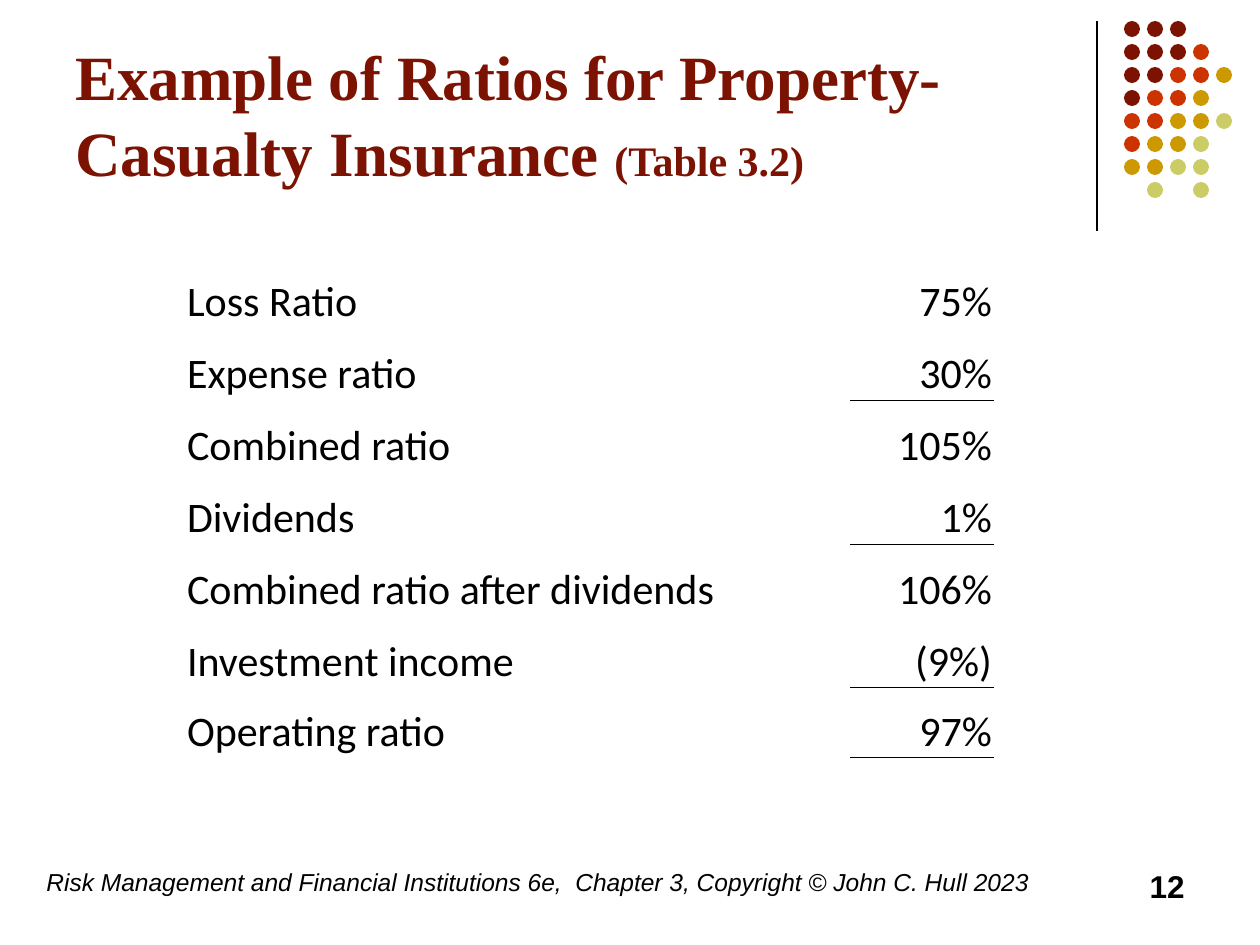
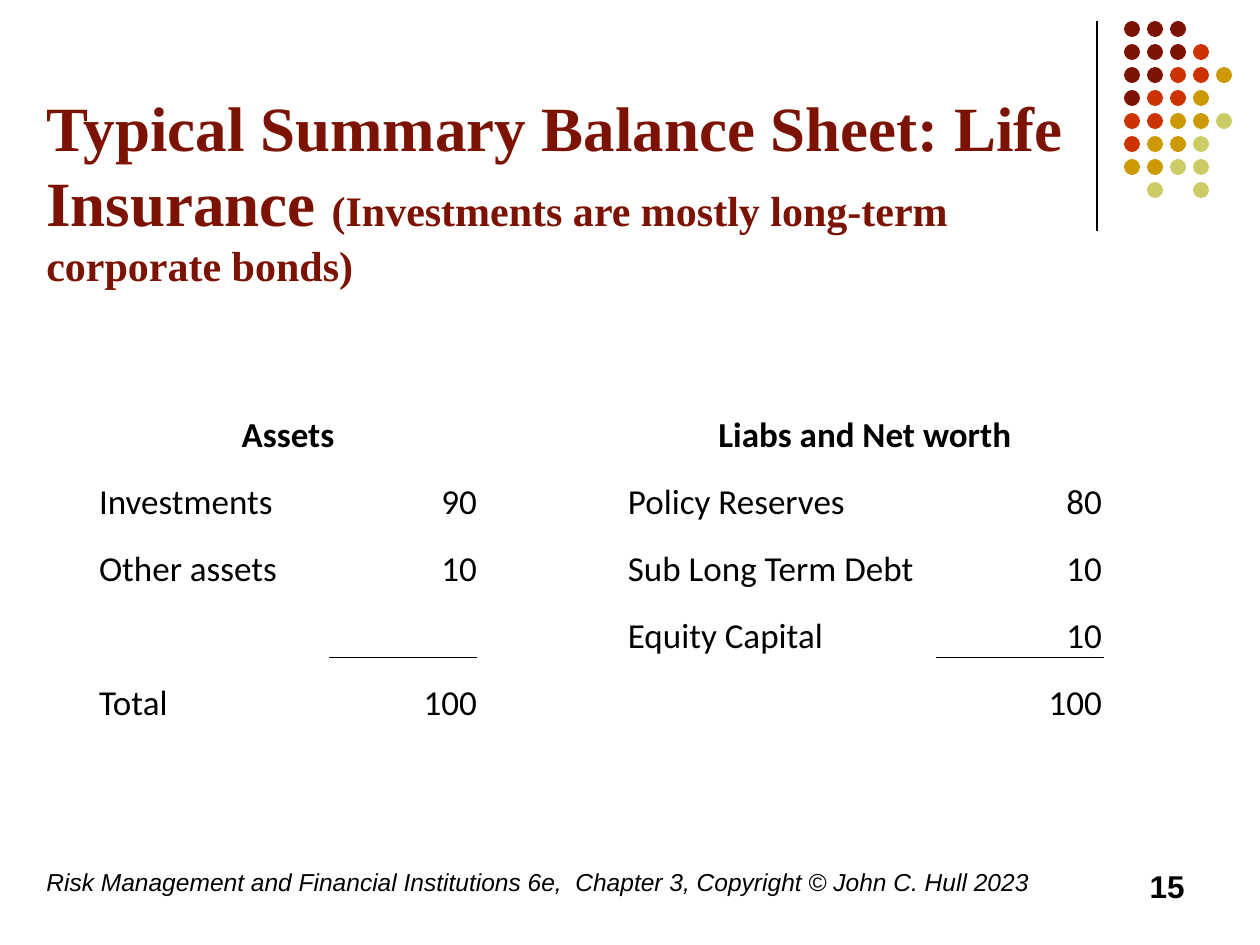
"""Build two slides on insurance ratios and a life insurer's balance sheet."""
from lxml.etree import SubElement
from pptx import Presentation
from pptx.dml.color import RGBColor
from pptx.enum.shapes import MSO_CONNECTOR as Connector, MSO_SHAPE as Shape
from pptx.enum.text import MSO_ANCHOR as Anchor, PP_ALIGN as Align
from pptx.oxml.ns import qn
from pptx.util import Emu, Pt

COLORS = {"maroon": "7C1302", "red": "CC3300", "gold": "CC9900",
          "lime": "CCCC66", "black": "000000"}
FOOTER = "Risk Management and Financial Institutions 6e,  Chapter 3, Copyright © John C. Hull 2023"
DOT_ROWS = ["MMM", "MMMR", "MMRRG", "MRRG", "RRGGL", "RGGL", "GGLL", ".L.L"]
DOT_COLORS = {"M": "maroon", "R": "red", "G": "gold", "L": "lime"}
DOT_LEFT, DOT_TOP, DOT_PITCH, DOT_SIZE = 1124, 21, 23, 16

SLIDES = [
    {
        "title": "Example of Ratios for Property-Casualty Insurance ",
        "subtitle": "(Table 3.2)",
        "title_box": (63, 16, 1040, 179),
        "number": "12",
        "table": {
            "corner": (186, 256), "size": 24,
            "columns": [665, 142], "heights": [72] * 6 + [70],
            "aligns": [Align.LEFT, Align.RIGHT],
            "headings": (),
            "rows": [
                ("Loss Ratio", "75%"),
                ("Expense ratio", "30%"),
                ("Combined ratio", "105%"),
                ("Dividends", "1%"),
                ("Combined ratio after dividends", "106%"),
                ("Investment income", "(9%)"),
                ("Operating ratio", "97%"),
            ],
            "underlined": [(1, 1), (3, 1), (5, 1), (6, 1)],
        },
    },
    {
        "title": "Typical Summary Balance Sheet: Life Insurance ",
        "subtitle": "(Investments are mostly long-term corporate bonds)",
        "title_box": (34, 128, 1071, 168),
        "number": "15",
        "table": {
            "corner": (98, 384), "size": 20,
            "columns": [232, 148, 149, 310, 166], "heights": [73] + [67] * 4,
            "aligns": [Align.LEFT, Align.RIGHT, Align.LEFT, Align.LEFT, Align.RIGHT],
            "headings": (0, 3),
            "rows": [
                ("Assets", "", "", "Liabs and Net worth", ""),
                ("Investments", "90", "", "Policy Reserves", "80"),
                ("Other assets", "10", "", "Sub Long Term Debt", "10"),
                ("", "", "", "Equity Capital", "10"),
                ("Total", "100", "", "", "100"),
            ],
            "underlined": [(3, 1), (3, 4)],
        },
    },
]


def px(length):
    return Emu(round(length * 914400 / 126))


def rgb(color):
    return RGBColor.from_string(COLORS[color])


def write(paragraph, text, font="Arial", size=18, color="black",
          bold=False, italic=False, align=Align.LEFT):
    paragraph.alignment = align
    run = paragraph.add_run()
    run.text = text
    run.font.name, run.font.size = font, Pt(size)
    run.font.bold, run.font.italic = bold, italic
    run.font.color.rgb = rgb(color)


def add_box(slide, box, anchor=Anchor.TOP):
    frame = slide.shapes.add_textbox(*map(px, box)).text_frame
    frame.word_wrap = True
    frame.vertical_anchor = anchor
    return frame.paragraphs[0]


def add_decoration(slide):
    divider = slide.shapes.add_connector(
        Connector.STRAIGHT, px(1097), px(21), px(1097), px(231))
    divider.line.color.rgb = rgb("black")
    divider.line.width = Pt(0.75)
    SubElement(divider._element.spPr, qn("a:effectLst"))
    dots = slide.shapes.add_group_shape()
    for row, codes in enumerate(DOT_ROWS):
        for column, code in enumerate(codes):
            if code not in DOT_COLORS:
                continue
            dot = dots.shapes.add_shape(
                Shape.OVAL, px(DOT_LEFT + column * DOT_PITCH),
                px(DOT_TOP + row * DOT_PITCH), px(DOT_SIZE), px(DOT_SIZE))
            dot.shadow.inherit = False
            dot.fill.solid()
            dot.fill.fore_color.rgb = rgb(DOT_COLORS[code])
            dot.line.fill.background()


def add_border(cell, side):
    border = SubElement(cell._tc.get_or_add_tcPr(), qn(f"a:{side}"), w=str(Pt(0.5)))
    fill = SubElement(border, qn("a:solidFill"))
    SubElement(fill, qn("a:srgbClr"), val=COLORS["black"])


def add_figures(slide, figures):
    columns, heights, rows = figures["columns"], figures["heights"], figures["rows"]
    extent = (*figures["corner"], sum(columns), sum(heights))
    table = slide.shapes.add_table(len(rows), len(columns), *map(px, extent)).table
    table.first_row = table.horz_banding = False
    for column, width in zip(table.columns, columns):
        column.width = px(width)
    for row, height in zip(table.rows, heights):
        row.height = px(height)
    for r, row in enumerate(rows):
        for c, text in enumerate(row):
            cell = table.cell(r, c)
            cell.vertical_anchor = Anchor.BOTTOM
            cell.margin_left = cell.margin_right = cell.margin_top = px(1)
            cell.margin_bottom = 0
            if (r - 1, c) in figures["underlined"]:
                add_border(cell, "lnT")
            if (r, c) in figures["underlined"]:
                add_border(cell, "lnB")
            cell.fill.background()
            heading = r == 0 and c in figures["headings"]
            if heading:
                cell.merge(table.cell(r, c + 1))
            if text:
                write(cell.text_frame.paragraphs[0], text, font="Calibri",
                      size=figures["size"], bold=heading,
                      align=Align.CENTER if heading else figures["aligns"][c])


def add_slide(deck, content):
    slide = deck.slides.add_slide(deck.slide_layouts[6])
    add_decoration(slide)
    title = add_box(slide, content["title_box"], Anchor.BOTTOM)
    for part, size in (("title", 36), ("subtitle", 24)):
        write(title, content[part], font="Times New Roman", size=size,
              color="maroon", bold=True)
    write(add_box(slide, (34, 861, 1042, 63)), FOOTER, size=14, italic=True)
    write(add_box(slide, (903, 861, 294, 63)), content["number"],
          bold=True, align=Align.RIGHT)
    add_figures(slide, content["table"])


def main():
    deck = Presentation()
    deck.slide_width, deck.slide_height = px(1260), px(945)
    for content in SLIDES:
        add_slide(deck, content)
    deck.save("out.pptx")


if __name__ == "__main__":
    main()
